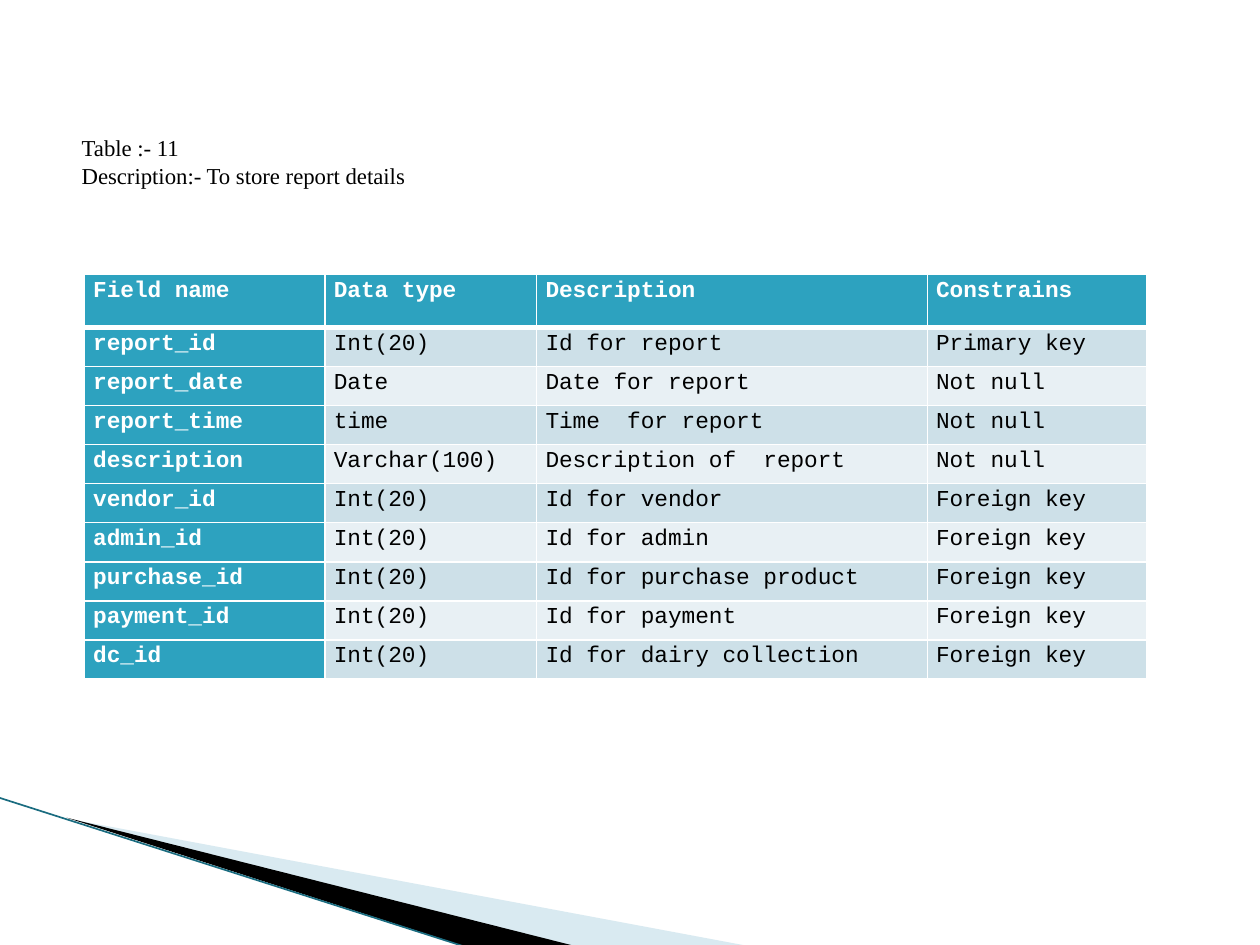
from lxml.etree import SubElement
from pptx import Presentation
from pptx.dml.color import RGBColor
from pptx.enum.text import MSO_ANCHOR
from pptx.oxml import parse_xml
from pptx.oxml.ns import nsdecls, qn
from pptx.util import Inches, Pt

TEAL, PALE, LIGHT = "2DA2BF", "CDE0E8", "E8F0F4"
WHITE, BLACK = "FFFFFF", "000000"


def tint(code):
    return RGBColor.from_string(code)


class Deck:
    serif, mono, size = "Times New Roman", "Courier New", Pt(13)

    def __init__(self):
        self.prs = Presentation()
        self.prs.slide_width, self.prs.slide_height = Inches(10), Inches(7.5)
        self.slide = self.prs.slides.add_slide(self.prs.slide_layouts[6])
        self.shapes = self.slide.shapes

    def style(self, para, font, color, bold=False):
        for run in para.runs:
            run.font.name, run.font.size = font, self.size
            run.font.bold = bold
            run.font.color.rgb = tint(color)

    def wedge(self, points, color, alpha=None):
        pts = [(Inches(x), Inches(y)) for x, y in points]
        path = self.shapes.build_freeform(*pts[0])
        path.add_line_segments(pts[1:], close=True)
        shape = path.convert_to_shape()
        shape.shadow.inherit = False
        shape.fill.solid()
        shape.fill.fore_color.rgb = tint(color)
        shape.line.fill.background()
        if alpha:
            clr = shape.fill._xPr.find(".//" + qn("a:srgbClr"))
            SubElement(clr, qn("a:alpha"), val=str(alpha * 1000))

    def line(self, start, end, color, width):
        ends = [Inches(v) for v in (*start, *end)]
        rule = self.shapes.add_connector(1, *ends)
        rule.line.color.rgb = tint(color)
        rule.line.width = Pt(width)
        SubElement(rule._element.spPr, qn("a:effectLst"))

    def text(self, box, lines):
        frame = self.shapes.add_textbox(*map(Inches, box)).text_frame
        frame.word_wrap = False
        frame.vertical_anchor = MSO_ANCHOR.TOP
        frame.text = "\n".join(lines)
        for para in frame.paragraphs:
            para.line_spacing = Pt(16)
            self.style(para, self.serif, BLACK)

    def border(self, cell, sides):
        props = cell._tc.get_or_add_tcPr()
        for spot, (side, width) in enumerate(sides.items()):
            props.insert(spot, parse_xml(
                f'<a:ln{side} {nsdecls("a")} w="{Pt(width)}"><a:solidFill>'
                f'<a:srgbClr val="{WHITE}"/></a:solidFill></a:ln{side}>'))

    def cell(self, cell, words, fill, color, bold):
        cell.margin_left = cell.margin_right = Inches(0.07)
        cell.margin_top = cell.margin_bottom = 0
        cell.fill.solid()
        cell.fill.fore_color.rgb = tint(fill)
        cell.text_frame.text = words
        para = cell.text_frame.paragraphs[0]
        para.line_spacing = 1.15
        self.style(para, self.mono, color, bold)

    def table(self, left, top, widths, heights, rows):
        box = map(Inches, (left, top, sum(widths), sum(heights)))
        grid = self.shapes.add_table(len(rows), len(widths), *box).table
        for col, width in zip(grid.columns, widths):
            col.width = Inches(width)
        for r, row in enumerate(rows):
            grid.rows[r].height = Inches(heights[r])
            for c, words in enumerate(row):
                head = r == 0 or c == 0
                fill = TEAL if head else PALE if r % 2 else LIGHT
                cell = grid.cell(r, c)
                self.cell(cell, words, fill, WHITE if head else BLACK, head)
                # A thicker rule parts the header from the body
                self.border(cell, {"L": 1, "R": 1, "T": 3 if r == 1 else 1,
                                   "B": 3 if r == 0 else 1})


ROWS = [
    ("Field name", "Data type", "Description", "Constrains"),
    ("report_id", "Int(20)", "Id for report", "Primary key"),
    ("report_date", "Date", "Date for report", "Not null"),
    ("report_time", "time", "Time  for report", "Not null"),
    ("description", "Varchar(100)", "Description of  report", "Not null"),
    ("vendor_id", "Int(20)", "Id for vendor", "Foreign key"),
    ("admin_id", "Int(20)", "Id for admin", "Foreign key"),
    ("purchase_id", "Int(20)", "Id for purchase product", "Foreign key"),
    ("payment_id", "Int(20)", "Id for payment", "Foreign key"),
    ("dc_id", "Int(20)", "Id for dairy collection", "Foreign key"),
]


def main():
    deck = Deck()

    # Corner wedges
    deck.wedge([(0.55, 6.5), (5.95, 7.51), (4.56, 7.51)], "A0CBDC", 40)
    deck.wedge([(0.53, 6.49), (4.57, 7.51), (3.72, 7.52)], BLACK)
    deck.line((-0.01, 6.33), (3.71, 7.52), "1A6C80", 0.95)

    # Caption
    deck.text((0.55, 1.01, 2.8, 0.76),
              ["Table :- 11", "Description:- To store report details"])

    # Field table
    heights = [0.42] + [0.31] * (len(ROWS) - 1)
    deck.table(0.67, 2.18, [1.91, 1.68, 3.1, 1.74], heights, ROWS)

    deck.prs.save("out.pptx")


if __name__ == "__main__":
    main()
